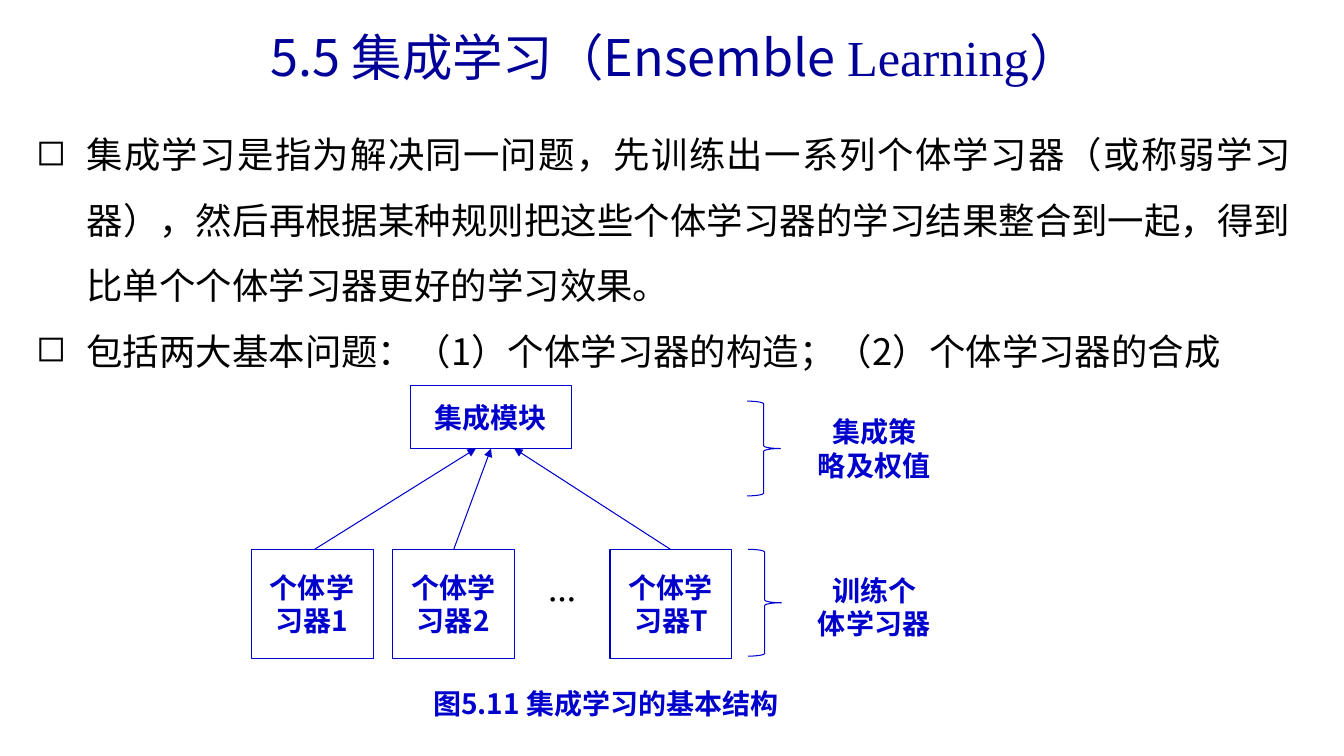
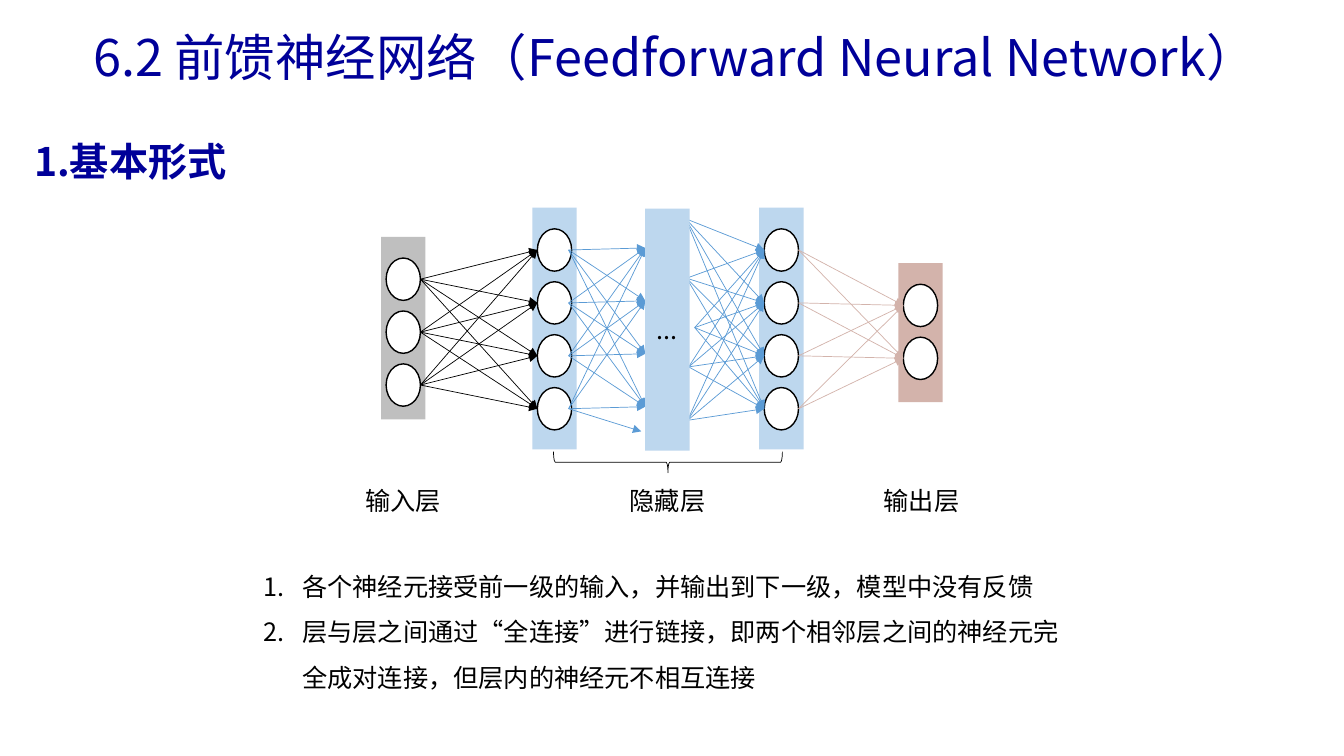
from lxml import etree
from pptx import Presentation
from pptx.dml.color import RGBColor
from pptx.enum.shapes import MSO_CONNECTOR, MSO_SHAPE
from pptx.enum.text import MSO_ANCHOR, MSO_AUTO_SIZE, PP_ALIGN
from pptx.oxml.ns import qn
from pptx.util import Inches, Pt

FONT = "Noto Sans CJK SC"
LATIN_FONT = "Times New Roman"
NAVY = RGBColor(0x00, 0x00, 0x99)
BLUE = RGBColor(0x00, 0x00, 0xCC)
SKY = RGBColor(0x5B, 0x9B, 0xD5)
PALE_BLUE = RGBColor(0xBD, 0xD7, 0xEE)
ROSE = RGBColor(0xD3, 0xB3, 0xAB)
GREY = RGBColor(0xBF, 0xBF, 0xBF)
BLACK = RGBColor(0x00, 0x00, 0x00)
WHITE = RGBColor(0xFF, 0xFF, 0xFF)


def write(frame, lines, size, color=BLACK, bold=False, align=PP_ALIGN.CENTER,
          anchor=MSO_ANCHOR.TOP, spacing=None, bullet=None, indent=0):
    """Fill a text frame; a line is a list of (text, font) runs or a plain string.

    bullet is a (tag, attribute, value) triple for the bullet element.
    """
    frame.word_wrap = True
    frame.auto_size = MSO_AUTO_SIZE.NONE
    frame.vertical_anchor = anchor
    for index, line in enumerate(lines):
        para = frame.paragraphs[0] if index == 0 else frame.add_paragraph()
        para.alignment = align
        if spacing:
            para.line_spacing = spacing
        properties = para._p.get_or_add_pPr()
        if bullet:
            tag, attribute, value = bullet
            properties.set("marL", str(Inches(indent)))
            properties.set("indent", str(-Inches(indent)))
            etree.SubElement(properties, qn(tag)).set(attribute, value)
        font = para.font
        font.size, font.bold, font.name = Pt(size), bold, FONT
        font.color.rgb = color
        east_asian = etree.SubElement(properties.find(qn("a:defRPr")), qn("a:ea"))
        east_asian.set("typeface", FONT)
        for text, run_font in [(line, None)] if isinstance(line, str) else line:
            span = para.add_run()
            span.text = text
            if run_font:
                span.font.name = run_font


def add_arrow(page, start, end, color, width):
    arrow = page.shapes.add_connector(
        MSO_CONNECTOR.STRAIGHT, *[Inches(value) for value in (*start, *end)])
    arrow.line.color.rgb = color
    arrow.line.width = Pt(width)
    etree.SubElement(arrow.line._get_or_add_ln(), qn("a:tailEnd")).set("type", "triangle")
    etree.SubElement(arrow._element.spPr, qn("a:effectLst"))


deck = Presentation()
deck.slide_width, deck.slide_height = Inches(13.33), Inches(7.5)

titles = [
    [("5.5 集成学习（Ensemble ", None), ("Learning", LATIN_FONT), ("）", None)],
    "6.2 前馈神经网络（Feedforward Neural Network）",
]
pages = []
for title_line in titles:
    page = deck.slides.add_slide(deck.slide_layouts[5])
    title = page.shapes.title
    title.left, title.top = Inches(0.58), Inches(0.21)
    title.width, title.height = Inches(12.23), Inches(0.71)
    write(title.text_frame, [title_line], 36, NAVY)
    pages.append(page)
ensemble_page, network_page = pages

# Ensemble learning
body = ensemble_page.shapes.add_textbox(
    Inches(0.26), Inches(1.05), Inches(12.65), Inches(2.73))
write(body.text_frame, [
    "集成学习是指为解决同一问题，先训练出一系列个体学习器（或称弱学习器），"
    "然后再根据某种规则把这些个体学习器的学习结果整合到一起，得到比单个个体学习器更好的学习效果。",
    "包括两大基本问题：（1）个体学习器的构造；（2）个体学习器的合成",
], 26, align=PP_ALIGN.JUSTIFY, spacing=1.5, bullet=("a:buChar", "char", "◻"), indent=0.5)

outlines = [
    (MSO_SHAPE.RECTANGLE, (4.07, 3.82, 1.6, 0.63), ["集成模块"]),
    (MSO_SHAPE.RECTANGLE, (2.49, 5.45, 1.21, 1.08), ["个体学", "习器1"]),
    (MSO_SHAPE.RECTANGLE, (3.89, 5.45, 1.21, 1.08), ["个体学", "习器2"]),
    (MSO_SHAPE.RECTANGLE, (6.05, 5.45, 1.21, 1.08), ["个体学", "习器T"]),
    (MSO_SHAPE.RIGHT_BRACE, (7.41, 3.98, 0.33, 0.94), []),
    (MSO_SHAPE.RIGHT_BRACE, (7.42, 5.45, 0.33, 1.06), []),
]
for preset, place, lines in outlines:
    shape = ensemble_page.shapes.add_shape(preset, *[Inches(value) for value in place])
    shape.shadow.inherit = False
    shape.fill.background()
    shape.line.color.rgb = BLUE
    shape.line.width = Pt(0.75)
    write(shape.text_frame, lines, 20, BLUE, bold=True, anchor=MSO_ANCHOR.MIDDLE)

labels = [
    ((5.23, 5.64, 0.7, 0.62), ["…"], BLACK),
    ((7.82, 4.01, 1.7, 0.88), ["集成策", "略及权值"], BLUE),
    ((7.82, 5.47, 1.7, 1.1), ["训练个", "体学习器"], BLUE),
    ((3.84, 6.66, 4.34, 0.63), ["图5.11 集成学习的基本结构"], BLUE),
]
for place, lines, color in labels:
    box = ensemble_page.shapes.add_textbox(*[Inches(value) for value in place])
    write(box.text_frame, lines, 20, color, bold=True, anchor=MSO_ANCHOR.MIDDLE)

for learner_x, module_x in [(3.12, 4.72), (4.5, 4.87), (6.65, 5.1)]:
    add_arrow(ensemble_page, (learner_x, 5.45), (module_x, 4.45), BLUE, 0.75)

# Feedforward network
heading = network_page.shapes.add_textbox(
    Inches(0.24), Inches(1.08), Inches(12.65), Inches(0.81))
write(heading.text_frame, ["1.基本形式"], 28, NAVY, bold=True,
      align=PP_ALIGN.LEFT, spacing=1.5)

BAR_WIDTH = 0.44
NODE_WIDTH, NODE_HEIGHT, NODE_STEP = 0.34, 0.42, 0.525
NODE_INSET_X, NODE_INSET_Y = 0.05, 0.21

layers = [
    (3.78, 2.35, 1.81, 3, GREY),
    (5.28, 2.06, 2.4, 4, PALE_BLUE),
    (7.53, 2.06, 2.4, 4, PALE_BLUE),
    (8.91, 2.61, 1.38, 2, ROSE),
]
entries, exits = [], []
for left, top, height, count, color in layers:
    bar = network_page.shapes.add_shape(
        MSO_SHAPE.RECTANGLE, Inches(left), Inches(top), Inches(BAR_WIDTH), Inches(height))
    bar.shadow.inherit = False
    bar.fill.solid()
    bar.fill.fore_color.rgb = color
    bar.line.fill.background()
    node_left = left + NODE_INSET_X
    node_tops = [top + NODE_INSET_Y + NODE_STEP * row for row in range(count)]
    for node_top in node_tops:
        node = network_page.shapes.add_shape(
            MSO_SHAPE.OVAL, Inches(node_left), Inches(node_top),
            Inches(NODE_WIDTH), Inches(NODE_HEIGHT))
        node.shadow.inherit = False
        node.fill.solid()
        node.fill.fore_color.rgb = WHITE
        node.line.color.rgb = BLACK
        node.line.width = Pt(1)
    entries.append([(node_left, y + NODE_HEIGHT / 2) for y in node_tops])
    exits.append([(node_left + NODE_WIDTH, y + NODE_HEIGHT / 2) for y in node_tops])

first_hidden_exits = [(5.64, y) for _, y in exits[1]]
middle_entries = [(6.4, 2.46 + NODE_STEP * row) for row in range(4)]
middle_exits = [(6.8, 2.17), (6.81, 2.76), (6.89, 3.25), (6.83, 3.64), (6.82, 4.17)]
links = [
    (exits[0], entries[1], BLACK),
    (first_hidden_exits[:3], middle_entries, SKY),
    (first_hidden_exits[3:], middle_entries[:2] + middle_entries[3:] + [(6.36, 4.28)], SKY),
    (middle_exits, entries[2], SKY),
    (exits[2], entries[3], ROSE),
]
for starts, ends, color in links:
    for start in starts:
        for end in ends:
            add_arrow(network_page, start, end, color, 0.5)

middle = network_page.shapes.add_shape(
    MSO_SHAPE.RECTANGLE, Inches(6.4), Inches(2.07), Inches(BAR_WIDTH), Inches(2.4))
middle.shadow.inherit = False
middle.fill.solid()
middle.fill.fore_color.rgb = PALE_BLUE
middle.line.fill.background()
write(middle.text_frame, ["..."], 18, anchor=MSO_ANCHOR.MIDDLE)

brace = network_page.shapes.add_shape(
    MSO_SHAPE.LEFT_BRACE, Inches(6.52), Inches(3.45), Inches(0.21), Inches(2.27))
brace.rotation = 270
brace.shadow.inherit = False
brace.fill.background()
brace.line.color.rgb = BLACK
brace.line.width = Pt(0.5)

for left, name in [(3.4, "输入层"), (6.02, "隐藏层"), (8.54, "输出层")]:
    box = network_page.shapes.add_textbox(
        Inches(left), Inches(4.77), Inches(1.2), Inches(0.4))
    write(box.text_frame, [name], 18)

remarks = network_page.shapes.add_textbox(
    Inches(2.52), Inches(5.47), Inches(8.3), Inches(1.46))
write(remarks.text_frame, [
    "各个神经元接受前一级的输入，并输出到下一级，模型中没有反馈",
    "层与层之间通过“全连接”进行链接，即两个相邻层之间的神经元完全成对连接，但层内的神经元不相互连接",
], 18, align=PP_ALIGN.LEFT, spacing=1.5,
    bullet=("a:buAutoNum", "type", "arabicPeriod"), indent=0.38)

deck.save("out.pptx")
